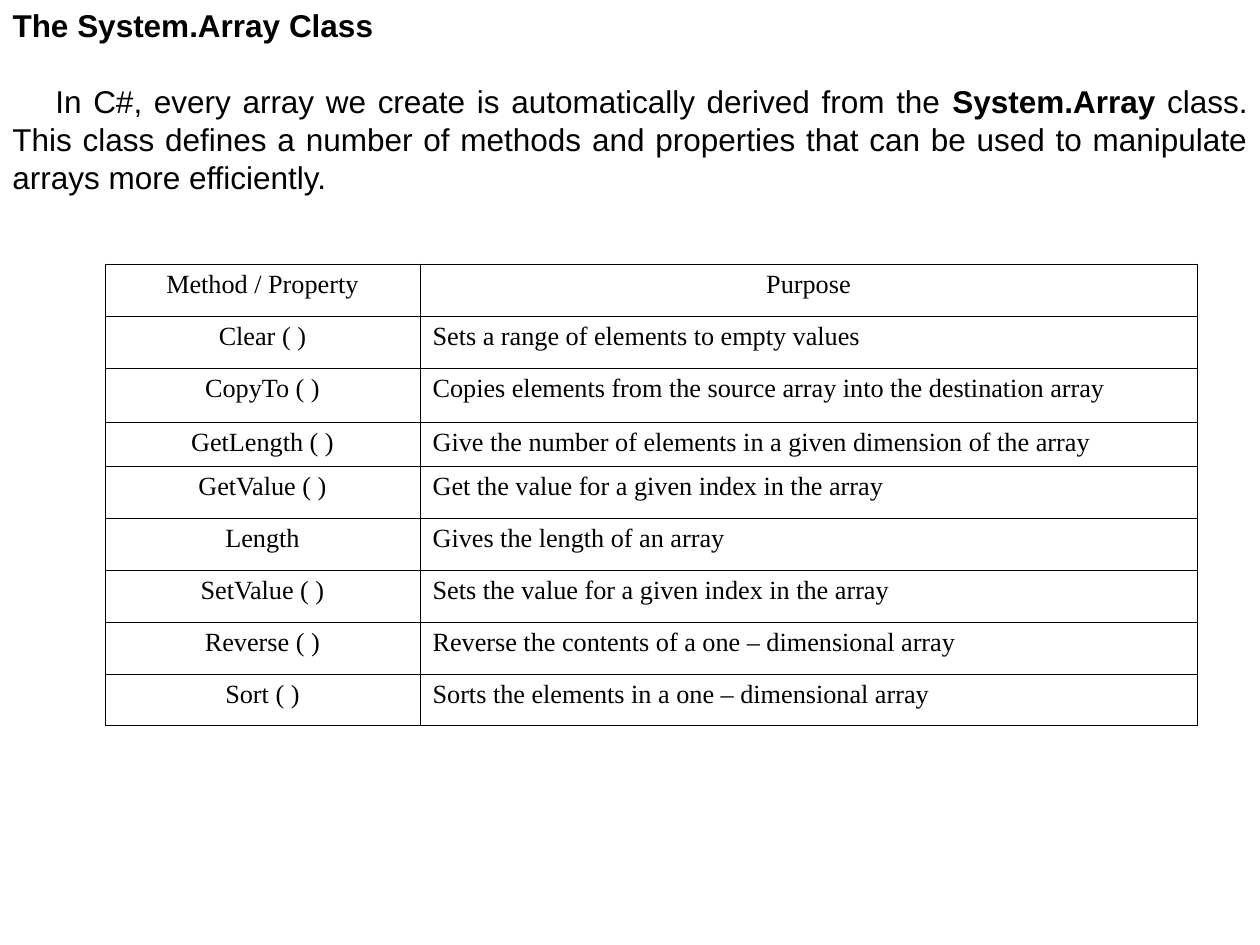
import pptx
import pptx.dml.color
import pptx.enum.text
import pptx.oxml
import pptx.oxml.ns
import pptx.util

PX = 914400 // 126
COLORS = {"text": "000000", "border": "000000"}
ALIGN = pptx.enum.text.PP_ALIGN
ANCHOR = pptx.enum.text.MSO_ANCHOR
NAMESPACE = pptx.oxml.ns.nsdecls("a")

HEADING = "The System.Array Class"
INTRO = [
    ("\tIn C#, every array we create is automatically derived from the ", False),
    ("System.Array", True),
    (" class. This class defines a number of methods and properties that can be"
     " used to manipulate arrays more efficiently.", False),
]
MEMBERS = [
    ("Method / Property", "Purpose"),
    ("Clear ( )", "Sets a range of elements to empty values"),
    ("CopyTo ( )", "Copies elements from the source array into the destination array"),
    ("GetLength ( )", "Give the number of elements in a given dimension of the array"),
    ("GetValue ( )", "Get the value for a given index in the array"),
    ("Length", "Gives the length of an array"),
    ("SetValue ( )", "Sets the value for a given index in the array"),
    ("Reverse ( )", "Reverse the contents of a one – dimensional array"),
    ("Sort ( )", "Sorts the elements in a one – dimensional array"),
]
COLUMN_WIDTHS = [315, 777]
ROW_HEIGHTS = [52, 52, 54, 44, 52, 52, 52, 52, 52]


class SlideBuilder:
    body_font, body_size, body_leading = "Arial", 18, 21.7
    table_font, table_size = "Times New Roman", 15
    border_width = 0.45

    def __init__(self, page):
        self.page = page

    def place(self, shape, left, top, width, height):
        shape.left, shape.top = left * PX, top * PX
        shape.width, shape.height = width * PX, height * PX

    def format(self, para, font, size, align, bold=None):
        para.alignment = align
        para.font.name = font
        para.font.size = pptx.util.Pt(size)
        para.font.bold = bold
        para.font.color.rgb = pptx.dml.color.RGBColor.from_string(COLORS["text"])

    def format_body(self, box, bold=None):
        frame = box.text_frame
        frame.word_wrap = True
        frame.auto_size = pptx.enum.text.MSO_AUTO_SIZE.NONE
        frame.vertical_anchor = ANCHOR.TOP
        para = frame.paragraphs[0]
        para.line_spacing = pptx.util.Pt(self.body_leading)
        para.space_before = pptx.util.Pt(0)
        self.format(para, self.body_font, self.body_size, ALIGN.JUSTIFY, bold)

    def title(self, text, *bounds):
        box = self.page.shapes.title
        self.place(box, *bounds)
        box.text_frame.text = text
        self.format_body(box, bold=True)

    def paragraph(self, spans, tab, *bounds):
        """Add a text box of (text, bold) spans with one tab stop."""
        box = self.page.shapes.add_textbox(0, 0, 0, 0)
        self.place(box, *bounds)
        para = box.text_frame.paragraphs[0]
        for text, bold in spans:
            span = para.add_run()
            span.text = text
            span.font.bold = bold
        para.line_spacing = pptx.util.Pt(self.body_leading)
        para.space_before = pptx.util.Pt(0)
        para._p.get_or_add_pPr().append(pptx.oxml.parse_xml(
            f'<a:tabLst {NAMESPACE}><a:tab pos="{tab * PX}" algn="l"/></a:tabLst>'))
        self.format_body(box)

    def border(self, cell):
        properties = cell._tc.get_or_add_tcPr()
        width = int(pptx.util.Pt(self.border_width))
        for index, side in enumerate(("lnL", "lnR", "lnT", "lnB")):
            properties.insert(index, pptx.oxml.parse_xml(
                f'<a:{side} {NAMESPACE} w="{width}"><a:solidFill>'
                f'<a:srgbClr val="{COLORS["border"]}"/></a:solidFill></a:{side}>'))

    def table(self, rows, widths, heights, left, top):
        frame = self.page.shapes.add_table(
            len(rows), len(widths), left * PX, top * PX,
            sum(widths) * PX, sum(heights) * PX)
        table = frame.table
        table.first_row = table.horz_banding = False
        for column, width in zip(table.columns, widths):
            column.width = width * PX
        for row, height in zip(table.rows, heights):
            row.height = height * PX
        for r, texts in enumerate(rows):
            for c, text in enumerate(texts):
                cell = table.cell(r, c)
                cell.text = text
                cell.fill.background()
                align = ALIGN.CENTER if r == 0 or c == 0 else ALIGN.LEFT
                self.format(cell.text_frame.paragraphs[0],
                            self.table_font, self.table_size, align)
                self.border(cell)


def main():
    deck = pptx.Presentation()
    deck.slide_width = pptx.util.Inches(10)
    deck.slide_height = pptx.util.Inches(7.5)
    builder = SlideBuilder(deck.slides.add_slide(deck.slide_layouts[5]))
    builder.title(HEADING, 0, 0, 1260, 50)
    builder.paragraph(INTRO, 43, 0, 76, 1260, 126)
    builder.table(MEMBERS, COLUMN_WIDTHS, ROW_HEIGHTS, 105, 264)
    deck.save("out.pptx")


if __name__ == "__main__":
    main()
